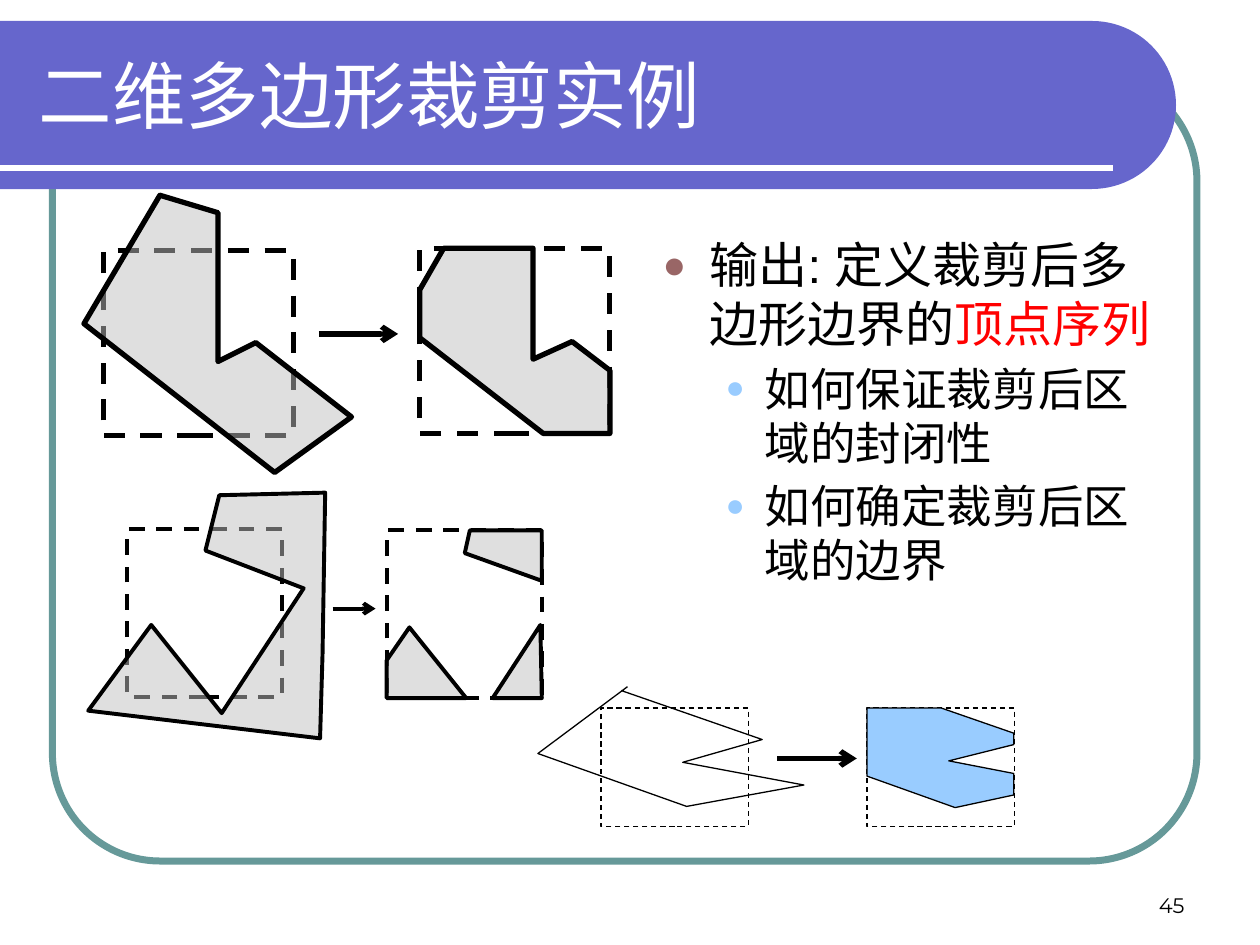
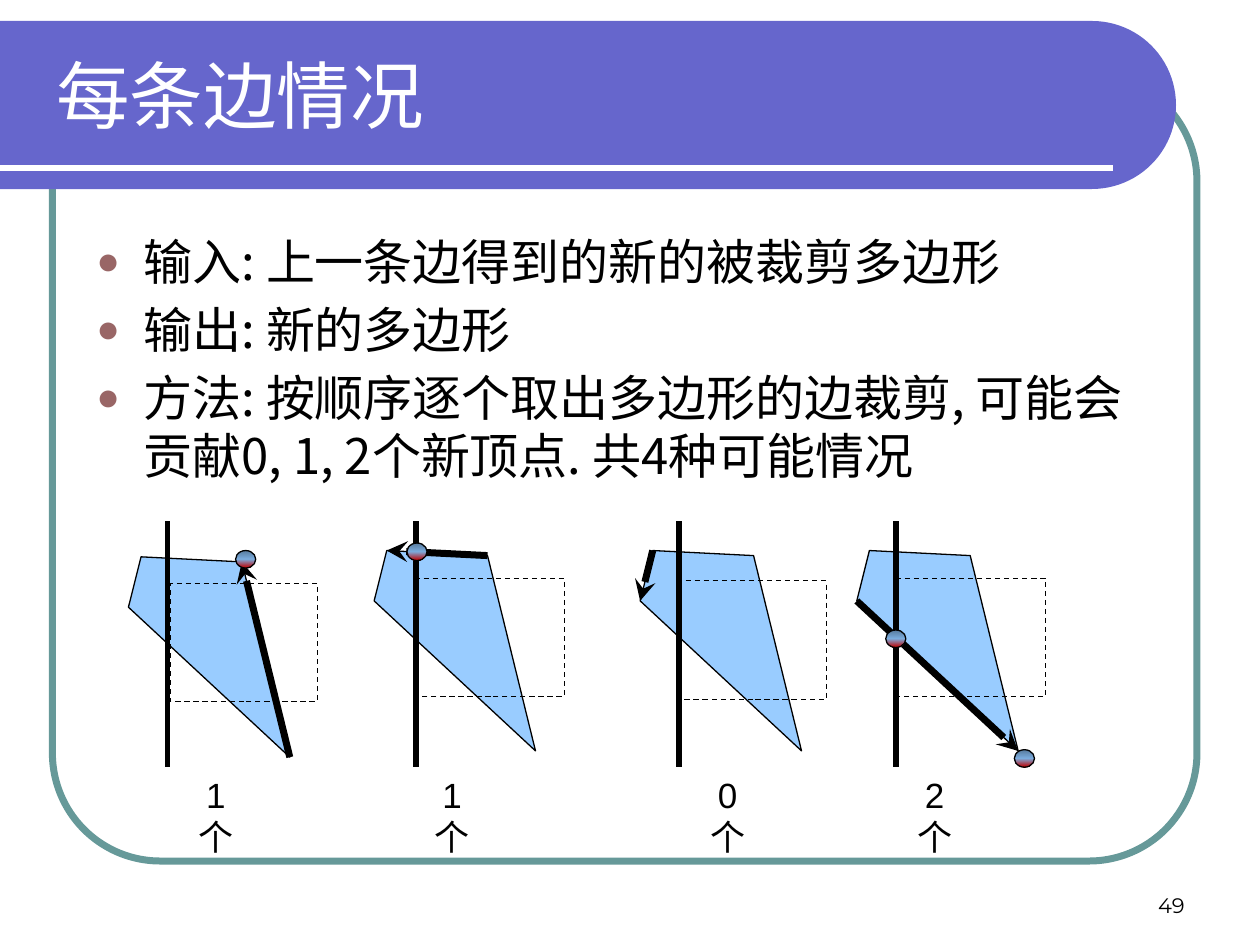
import math
from dataclasses import dataclass

import lxml.etree
import pptx
import pptx.dml.color
import pptx.enum.dml
import pptx.enum.shapes
import pptx.enum.text
import pptx.oxml.ns
import pptx.util

Pt = pptx.util.Pt
SHAPE = pptx.enum.shapes.MSO_SHAPE
ALIGN = pptx.enum.text.PP_ALIGN
ANCHOR = pptx.enum.text.MSO_ANCHOR

BLACK, WHITE, RED = "000000", "FFFFFF", "FF0000"
BAND, FRAME, SKY, GREY = "6666CC", "669999", "99CCFF", "C0C0C0"
CJK_FONT = "Noto Sans CJK SC"
# Per level: size, left indent, hanging indent, bullet colour, bullet size in percent
LEVELS = [(28, 27, 27, "996666", 80), (26, 58.5, 22.5, SKY, 70)]
DOT_STOPS = [(0, "56799C"), (50, "7BACDD"), (100, "C00000")]
DOT_WIDTH, DOT_HEIGHT = 11.5, 10


def rgb(hex_string):
    return pptx.dml.color.RGBColor.from_string(hex_string)


def add_xml(parent, tag, **attributes):
    element = lxml.etree.SubElement(parent, pptx.oxml.ns.qn(tag))
    for name, value in attributes.items():
        element.set(name, str(value))
    return element


def style_shape(shape, fill=None, line=None, line_width=0.75, dashed=False, alpha=None):
    shape.shadow.inherit = False
    if fill:
        shape.fill.solid()
        shape.fill.fore_color.rgb = rgb(fill)
        if alpha:
            color = shape.element.spPr.find(".//" + pptx.oxml.ns.qn("a:srgbClr"))
            add_xml(color, "a:alpha", val=alpha * 1000)
    else:
        shape.fill.background()
    if line:
        shape.line.color.rgb = rgb(line)
        shape.line.width = Pt(line_width)
        if dashed:
            shape.line.dash_style = pptx.enum.dml.MSO_LINE.DASH
    else:
        shape.line.fill.background()


def add_preset(slide, kind, left, top, width, height, **style):
    shape = slide.shapes.add_shape(kind, Pt(left), Pt(top), Pt(width), Pt(height))
    style_shape(shape, **style)
    return shape


def add_polygon(slide, left, top, points, closed=True, **style):
    """Draw an outline whose points are relative to left, top."""
    corners = [(Pt(left + x), Pt(top + y)) for x, y in points]
    builder = slide.shapes.build_freeform(*corners[0])
    builder.add_line_segments(corners[1:], close=closed)
    style_shape(builder.convert_to_shape(), **style)


def add_line(slide, start, end, color, width, arrowhead=None):
    connector = slide.shapes.add_connector(
        pptx.enum.shapes.MSO_CONNECTOR.STRAIGHT, *(Pt(value) for value in (*start, *end)))
    connector.line.color.rgb = rgb(color)
    connector.line.width = Pt(width)
    if arrowhead:
        add_xml(connector.line._get_or_add_ln(), "a:tailEnd", type=arrowhead)
    add_xml(connector.element.spPr, "a:effectLst")


def format_run(run, size, color, font):
    run.font.size = Pt(size)
    run.font.name = font
    run.font.color.rgb = rgb(color)
    add_xml(run.font._element, "a:ea", typeface=CJK_FONT)


def add_text(slide, left, top, width, height, text, size, font, alignment):
    box = slide.shapes.add_textbox(Pt(left), Pt(top), Pt(width), Pt(height))
    frame = box.text_frame
    frame.word_wrap = True
    frame.text = text
    frame.paragraphs[0].alignment = alignment
    format_run(frame.paragraphs[0].runs[0], size, BLACK, font)
    return frame


def add_bullets(slide, left, top, width, height, items, font):
    """Items are (level, [(text, colour), ...])."""
    frame = slide.shapes.add_textbox(Pt(left), Pt(top), Pt(width), Pt(height)).text_frame
    frame.word_wrap = True
    frame.margin_top = Pt(6.6)
    for index, (level, parts) in enumerate(items):
        size, indent, hanging, bullet_color, bullet_size = LEVELS[level]
        paragraph = frame.add_paragraph() if index else frame.paragraphs[0]
        paragraph.level = level
        properties = paragraph._p.get_or_add_pPr()
        properties.set("marL", str(Pt(indent)))
        properties.set("indent", str(-Pt(hanging)))
        add_xml(add_xml(properties, "a:buClr"), "a:srgbClr", val=bullet_color)
        add_xml(properties, "a:buSzPct", val=bullet_size * 1000)
        add_xml(properties, "a:buFont", typeface="Arial")
        add_xml(properties, "a:buChar", char="●")
        paragraph.line_spacing = Pt(round(size * 1.19, 1))
        if index:
            paragraph.space_before = Pt(size * 0.2)
        for text, color in parts:
            run = paragraph.add_run()
            run.text = text
            format_run(run, size, color, font)


def add_band(slide, left, top, width, height):
    radius = height / 2
    angles = [math.pi * (step / 48 - 0.5) for step in range(49)]
    cap = [(width - radius + radius * math.cos(angle), radius + radius * math.sin(angle))
           for angle in angles]
    add_polygon(slide, left, top, [(0, 0), *cap, (0, height)], fill=BAND)
    underline = top + height - 12
    add_line(slide, (left, underline), (left + width - 36, underline), WHITE, 3)


def add_framed_slide(presentation, title_text, number, title_font, title_indent=0):
    slide = presentation.slides.add_slide(presentation.slide_layouts[5])
    border = add_preset(slide, SHAPE.ROUNDED_RECTANGLE, 30, 42, 654, 450,
                        line=FRAME, line_width=4)
    border.adjustments[0] = 0.137
    add_band(slide, 0, 12, 672, 96)

    title = slide.shapes.title
    title.left, title.top, title.width, title.height = Pt(15), Pt(18), Pt(631.5), Pt(72)
    frame = title.text_frame
    frame.text = title_text
    frame.auto_size = pptx.enum.text.MSO_AUTO_SIZE.NONE
    frame.vertical_anchor = ANCHOR.MIDDLE
    frame.margin_left = Pt(7.2 + title_indent)
    frame.paragraphs[0].alignment = ALIGN.LEFT
    format_run(frame.paragraphs[0].runs[0], 42, WHITE, title_font)
    title.element.getparent().append(title.element)  # bring in front of the band

    number_frame = add_text(slide, 516, 492, 168, 36, number, 12, "Montserrat", ALIGN.RIGHT)
    number_frame.vertical_anchor = ANCHOR.BOTTOM
    return slide


@dataclass
class ClipExample:
    """Outlines are relative to their clip window; the arrow is (start x, end x, y)."""
    window: tuple
    subject: list
    result_offset: tuple
    results: list
    arrow: tuple
    line_width: float
    subject_style: dict
    result_style: dict
    closed: bool = True
    arrow_width: float = 3


TRANSLUCENT = dict(fill=GREY, alpha=50)
CLIP_EXAMPLES = [
    ClipExample(
        window=(59, 143.3, 108.7, 105.8),
        subject=[(32.4, -31.7), (-11, 41.7), (98, 126.7), (141.9, 95),
                 (87.2, 52.5), (65.6, 63.3), (65.6, -21.7)],
        result_offset=(180.8, -1.4),
        results=[[(13.7, 0), (0, 23.8), (0, 51.1), (70.6, 105.8), (108.7, 105.8),
                  (108.7, 69.8), (87.1, 53.3), (64.8, 63.4), (64.8, 0)]],
        arrow=(123.2, 168.5, 47.5), line_width=3,
        subject_style=TRANSLUCENT, result_style=TRANSLUCENT),
    ClipExample(
        window=(72.7, 302.4, 88.6, 95.8),
        subject=[(100.8, 33.8), (54, 105.1), (13.7, 54.7), (-22.3, 103.7), (110.2, 119.5),
                 (111.6, 71.3), (113.1, -20.9), (52.6, -19.4), (44.7, 12.2)],
        result_offset=(148.3, 0.7),
        results=[[(13, 55.4), (0, 74.2), (0, 95.8), (45.4, 95.8)],
                 [(87.8, 54), (88.6, 95.8), (60.5, 95.8)],
                 [(47.5, 0), (44.6, 13), (88.6, 28.8), (88.6, 0)]],
        arrow=(117.4, 141.9, 45.4), line_width=2.25, arrow_width=2.25,
        subject_style=TRANSLUCENT, result_style=TRANSLUCENT),
    ClipExample(
        window=(343.4, 404.6, 84.2, 67.7),
        subject=[(15.2, -12.2), (-36, 26), (49, 56.2), (116, 44),
                 (46.8, 31), (92.2, 18), (11.6, -10)],
        result_offset=(152, 0),
        results=[[(42.5, 0), (0, 0), (0, 38.9), (50.4, 56.9), (83.9, 49.7),
                  (83.9, 37.4), (46.8, 30.2), (83.9, 20.9), (83.9, 14.4)]],
        arrow=(100.8, 146.2, 28.8), line_width=0.75, closed=False,
        subject_style={}, result_style=dict(fill=SKY)),
]


def add_clip_example(slide, example):
    left, top, width, height = example.window
    result_left = left + example.result_offset[0]
    result_top = top + example.result_offset[1]
    pen = dict(line=BLACK, line_width=example.line_width)

    def add_window(window_left, window_top):
        add_preset(slide, SHAPE.RECTANGLE, window_left, window_top, width, height,
                   dashed=True, **pen)

    add_window(left, top)
    add_polygon(slide, left, top, example.subject, example.closed, **pen, **example.subject_style)
    add_window(result_left, result_top)
    for outline in example.results:
        add_polygon(slide, result_left, result_top, outline, **pen, **example.result_style)
    start, end, y = example.arrow
    add_line(slide, (left + start, top + y), (left + end, top + y),
             BLACK, example.arrow_width, "arrow")


QUAD = [(0, 28.8), (7.2, 0), (64.8, 2.9), (92.2, 114.5)]


@dataclass
class EdgeCase:
    """The edge runs between two corners of QUAD; offsets are relative to left, top."""
    left: float
    top: float
    window: tuple
    clip_x: float
    edge: tuple
    dots: list
    label: str
    label_x: float


EDGE_CASES = [
    EdgeCase(365.8, 314.6, (22.3, 17.3), 22.3, (1, 0), [], "0个", 50),
    EdgeCase(73.4, 318.2, (23.8, 15.1), 22.3, (3, 2), [(67, 1.4)], "1个", 50),
    EdgeCase(213.8, 314.6, (24.5, 15.8), 23.8, (2, 1), [(24.5, 0.7)], "1个", 44.5),
    EdgeCase(489.6, 314.6, (23.8, 15.8), 22.3, (0, 3), [(22.3, 50.4), (95.8, 118.8)],
             "2个", 44.5),
]


def add_dot(slide, center_x, center_y):
    dot = add_preset(slide, SHAPE.OVAL, center_x - DOT_WIDTH / 2, center_y - DOT_HEIGHT / 2,
                     DOT_WIDTH, DOT_HEIGHT, line=BLACK)
    dot.fill.gradient()
    gradient = dot.element.spPr.find(pptx.oxml.ns.qn("a:gradFill"))
    for child in list(gradient):
        gradient.remove(child)
    stops = add_xml(gradient, "a:gsLst")
    for position, color in DOT_STOPS:
        add_xml(add_xml(stops, "a:gs", pos=position * 1000), "a:srgbClr", val=color)
    add_xml(gradient, "a:lin", ang=90 * 60000, scaled=0)


def add_edge_case(slide, case, line_top, line_bottom):
    left, top = case.left, case.top
    add_polygon(slide, left, top, QUAD, fill=SKY, line=BLACK)
    add_preset(slide, SHAPE.RECTANGLE, left + case.window[0], top + case.window[1],
               84.2, 67.7, line=BLACK, dashed=True)
    clip_x = left + case.clip_x
    add_line(slide, (clip_x, line_top), (clip_x, line_bottom), BLACK, 3.25)
    start, end = ((left + QUAD[corner][0], top + QUAD[corner][1]) for corner in case.edge)
    add_line(slide, start, end, BLACK, 4, "stealth")
    # The narrow box puts the digit above the character
    frame = add_text(slide, left + case.label_x - 12, line_bottom, 24, 54,
                     case.label, 20, "Arial", ALIGN.CENTER)
    frame.margin_left = frame.margin_right = 0
    for x, y in case.dots:
        add_dot(slide, left + x, top + y)


def build_clipping_slide(presentation):
    slide = add_framed_slide(presentation, "二维多边形裁剪实例", "45", CJK_FONT)
    add_bullets(slide, 371.5, 128, 306, 348, [
        (0, [("输出: 定义裁剪后多边形边界的", BLACK), ("顶点序列", RED)]),
        (1, [("如何保证裁剪后区域的封闭性", BLACK)]),
        (1, [("如何确定裁剪后区域的边界", BLACK)]),
    ], "Arial")
    for example in CLIP_EXAMPLES:
        add_clip_example(slide, example)


def build_edge_slide(presentation):
    slide = add_framed_slide(presentation, "每条边情况", "49", "Arial", title_indent=10)
    add_bullets(slide, 48, 126, 621.5, 348, [
        (0, [("输入: 上一条边得到的新的被裁剪多边形", BLACK)]),
        (0, [("输出: 新的多边形", BLACK)]),
        (0, [("方法: 按顺序逐个取出多边形的边裁剪, 可能会贡献0, 1, 2个新顶点. 共4种可能情况", BLACK)]),
    ], CJK_FONT)
    for case in EDGE_CASES:
        add_edge_case(slide, case, 298, 438.5)


def main():
    presentation = pptx.Presentation()
    presentation.slide_width, presentation.slide_height = Pt(720), Pt(540)
    build_clipping_slide(presentation)
    build_edge_slide(presentation)
    presentation.save("out.pptx")


if __name__ == "__main__":
    main()
